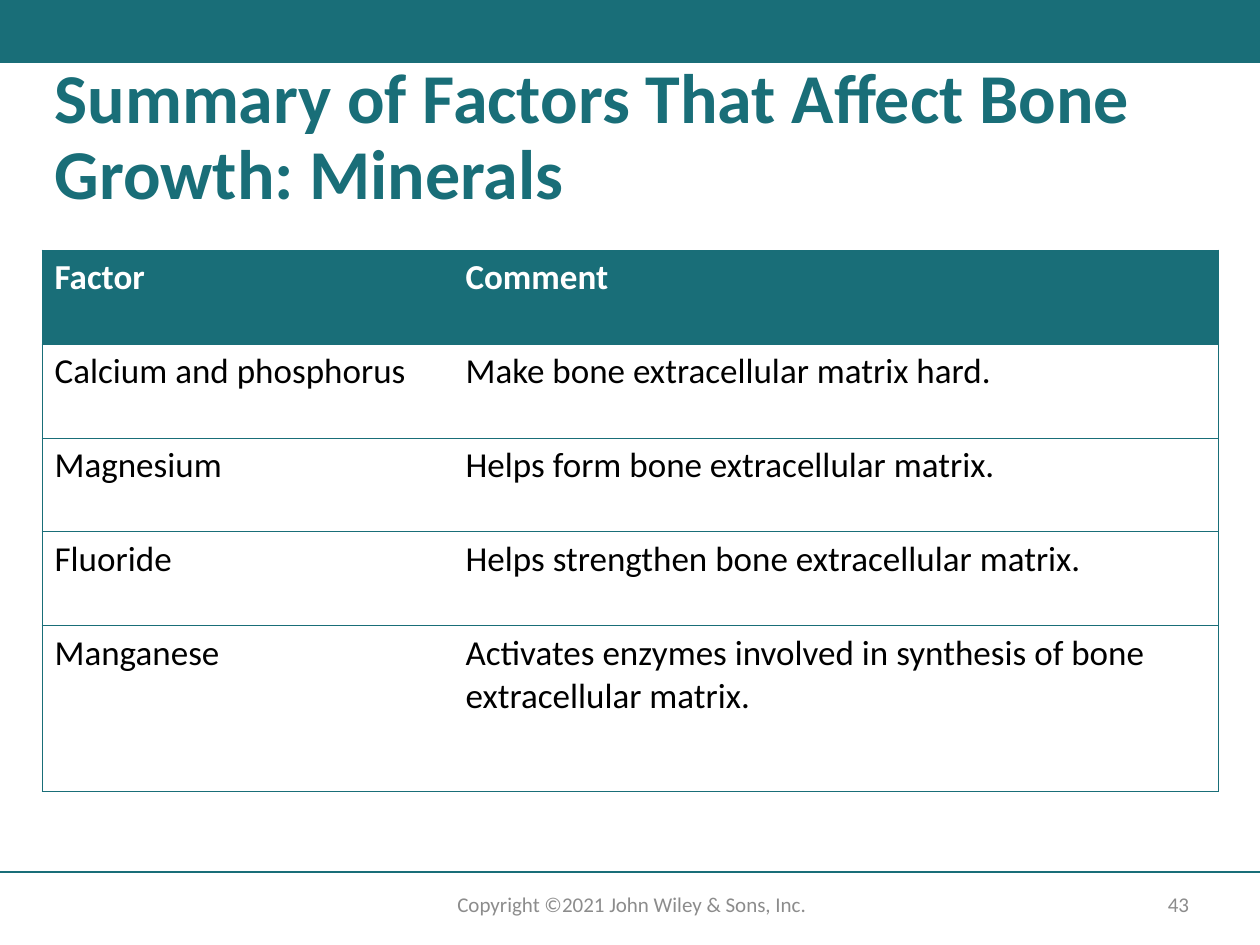
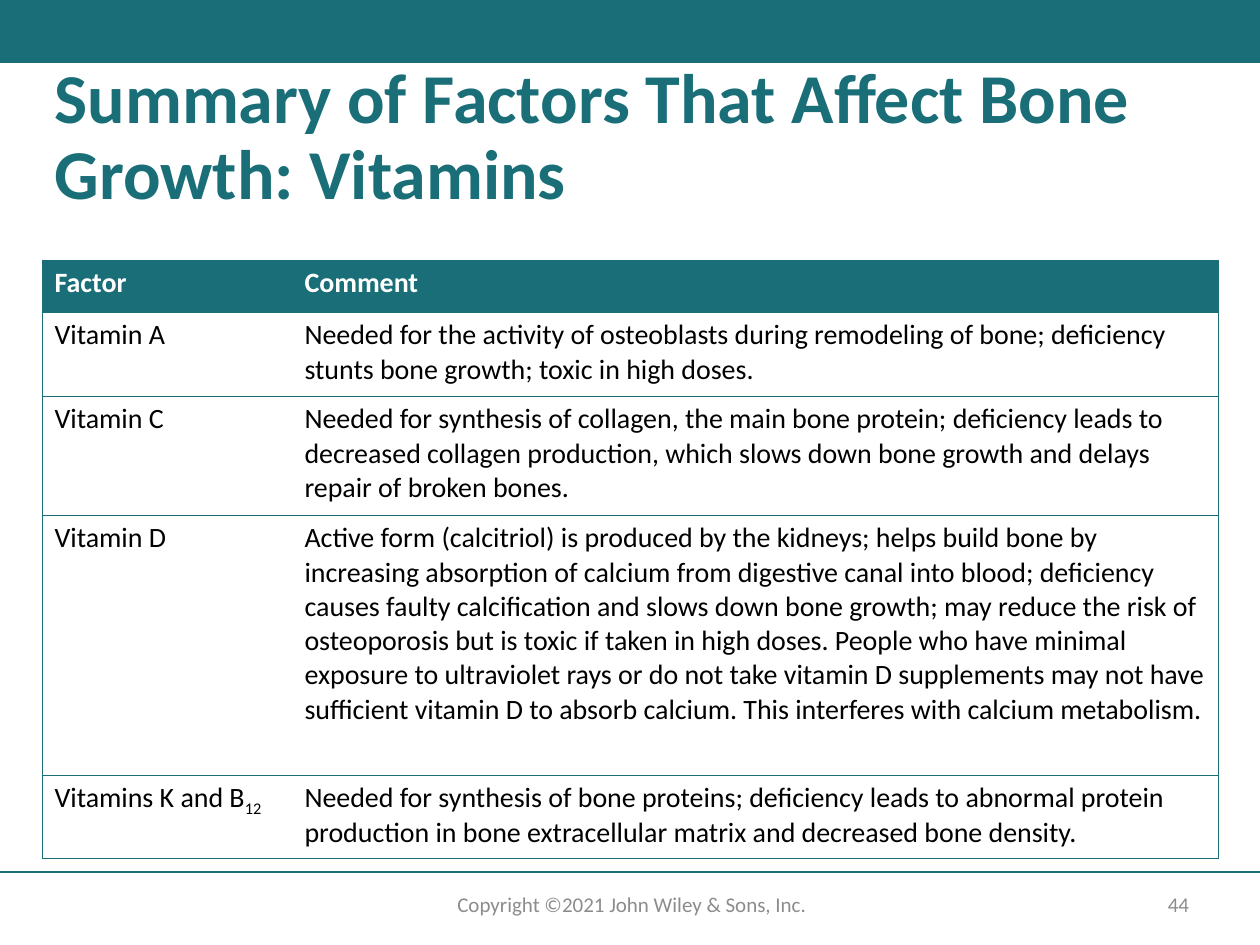
from pptx import Presentation
from pptx.dml.color import RGBColor
from pptx.enum.shapes import MSO_CONNECTOR as Connector, MSO_SHAPE as Shape
from pptx.enum.text import MSO_ANCHOR as Anchor, MSO_AUTO_SIZE as AutoSize, PP_ALIGN as Align
from pptx.oxml import parse_xml
from pptx.oxml.ns import nsdecls
from pptx.util import Emu, Pt

COLORS = {"teal": "196E78", "white": "FFFFFF", "black": "000000", "gray": "8C8C8C"}
FONT = "Calibri"
PX_PER_INCH = 126
SLIDE_WIDTH, SLIDE_HEIGHT = 1260, 945
MARGIN, CONTENT_WIDTH = 42, 1176
BAND_HEIGHT, RULE_TOP = 63, 872
TITLE_BOX = (MARGIN, 57, CONTENT_WIDTH, 154)
COPYRIGHT_BOX = (406, 885, 452, 38)
NUMBER_BOX = (1140, 887, 77, 35)

COPYRIGHT = "Copyright ©2021 John Wiley & Sons, Inc."
TITLE = "Summary of Factors That Affect Bone Growth: "
HEADER = ("Factor", "Comment")
FIRST_NUMBER = 43
SUBSCRIPT_MARK = "_"

TABLES = [
    {
        "topic": "Minerals", "top": 250, "size": 20, "factor_width": 411,
        "heights": [94, 94, 94, 94, 166],
        "rows": [
            ("Calcium and phosphorus", "Make bone extracellular matrix hard."),
            ("Magnesium", "Helps form bone extracellular matrix."),
            ("Fluoride", "Helps strengthen bone extracellular matrix."),
            ("Manganese", "Activates enzymes involved in synthesis of bone extracellular matrix."),
        ],
    },
    {
        "topic": "Vitamins", "top": 260, "size": 16, "factor_width": 250,
        "heights": [52, 84, 119, 260, 84],
        "rows": [
            ("Vitamin A",
             "Needed for the activity of osteoblasts during remodeling of bone; "
             "deficiency stunts bone growth; toxic in high doses."),
            ("Vitamin C",
             "Needed for synthesis of collagen, the main bone protein; deficiency leads to "
             "decreased collagen production, which slows down bone growth and delays "
             "repair of broken bones."),
            ("Vitamin D",
             "Active form (calcitriol) is produced by the kidneys; helps build bone by "
             "increasing absorption of calcium from digestive canal into blood; deficiency "
             "causes faulty calcification and slows down bone growth; may reduce the risk of "
             "osteoporosis but is toxic if taken in high doses. People who have minimal "
             "exposure to ultraviolet rays or do not take vitamin D supplements may not have "
             "sufficient vitamin D to absorb calcium. This interferes with calcium metabolism."),
            ("Vitamins K and B_12",
             "Needed for synthesis of bone proteins; deficiency leads to abnormal protein "
             "production in bone extracellular matrix and decreased bone density."),
        ],
    },
]


def px(*lengths):
    """Turn pixel lengths into a list of EMU lengths."""
    return [Emu(round(length * 914400 / PX_PER_INCH)) for length in lengths]


def rgb(name):
    """Return the named colour."""
    return RGBColor.from_string(COLORS[name])


def write(frame, text, size=12, color="black", bold=False, align=Align.LEFT,
          anchor=Anchor.TOP, line_spacing=None):
    """Fill a text frame with one formatted paragraph; marked parts become subscripts."""
    frame.word_wrap = True
    frame.vertical_anchor = anchor
    paragraph = frame.paragraphs[0]
    paragraph.alignment = align
    paragraph.line_spacing = line_spacing
    for index, part in enumerate(text.split(SUBSCRIPT_MARK)):
        run = paragraph.add_run()
        run.text = part
        run.font.name, run.font.size, run.font.bold = FONT, Pt(size), bold
        run.font.color.rgb = rgb(color)
        if index % 2:
            run._r.get_or_add_rPr().set("baseline", "-25000")


def set_borders(cell, visible):
    """Draw the visible sides of a cell and clear the others."""
    properties = cell._tc.get_or_add_tcPr()
    for index, side in enumerate("LRTB"):
        paint = (f'<a:solidFill><a:srgbClr val="{COLORS["teal"]}"/></a:solidFill>'
                 if side in visible else "<a:noFill/>")
        properties.insert(index, parse_xml(
            f'<a:ln{side} {nsdecls("a")} w="{Pt(0.5)}">{paint}</a:ln{side}>'))


def add_frame(slide, number):
    """Add the band, the rule and the footer that every slide has."""
    band = slide.shapes.add_shape(Shape.RECTANGLE, *px(0, 0, SLIDE_WIDTH, BAND_HEIGHT))
    band.shadow.inherit = False
    band.fill.solid()
    band.fill.fore_color.rgb = rgb("teal")
    band.line.fill.background()

    rule = slide.shapes.add_connector(
        Connector.STRAIGHT, *px(0, RULE_TOP, SLIDE_WIDTH, RULE_TOP))
    rule.line.color.rgb = rgb("teal")
    rule.line.width = Pt(1)
    rule._element.spPr.append(parse_xml(f'<a:effectLst {nsdecls("a")}/>'))

    for box, text, anchor in ((COPYRIGHT_BOX, COPYRIGHT, Anchor.TOP),
                              (NUMBER_BOX, str(number), Anchor.MIDDLE)):
        footer = slide.shapes.add_textbox(*px(*box))
        write(footer.text_frame, text, color="gray", align=Align.CENTER, anchor=anchor)


def add_title(slide, text):
    """Place and format the title placeholder."""
    title = slide.shapes.title
    title.left, title.top, title.width, title.height = px(*TITLE_BOX)
    title.text_frame.auto_size = AutoSize.NONE
    write(title.text_frame, text, size=40, color="teal", bold=True, line_spacing=0.9)


def add_factor_table(slide, content):
    """Add the table of factors and comments."""
    rows = [HEADER, *content["rows"]]
    heights = content["heights"]
    table = slide.shapes.add_table(
        len(rows), len(HEADER),
        *px(MARGIN, content["top"], CONTENT_WIDTH, sum(heights))).table
    table.horz_banding = False
    factor_width = content["factor_width"]
    for column, width in zip(table.columns, px(factor_width, CONTENT_WIDTH - factor_width)):
        column.width = width
    for row_index, (row, height) in enumerate(zip(rows, px(*heights))):
        table.rows[row_index].height = height
        is_header = row_index == 0
        for column_index, text in enumerate(row):
            cell = table.cell(row_index, column_index)
            cell.fill.solid()
            cell.fill.fore_color.rgb = rgb("teal" if is_header else "white")
            write(cell.text_frame, text, size=content["size"], bold=is_header,
                  color="white" if is_header else "black")
            set_borders(cell, "TB" + "LR"[column_index])


def main():
    """Build the slides and save the presentation."""
    presentation = Presentation()
    presentation.slide_width, presentation.slide_height = px(SLIDE_WIDTH, SLIDE_HEIGHT)
    for number, content in enumerate(TABLES, FIRST_NUMBER):
        slide = presentation.slides.add_slide(presentation.slide_layouts[5])
        add_frame(slide, number)
        add_title(slide, TITLE + content["topic"])
        add_factor_table(slide, content)
    presentation.save("out.pptx")


if __name__ == "__main__":
    main()
